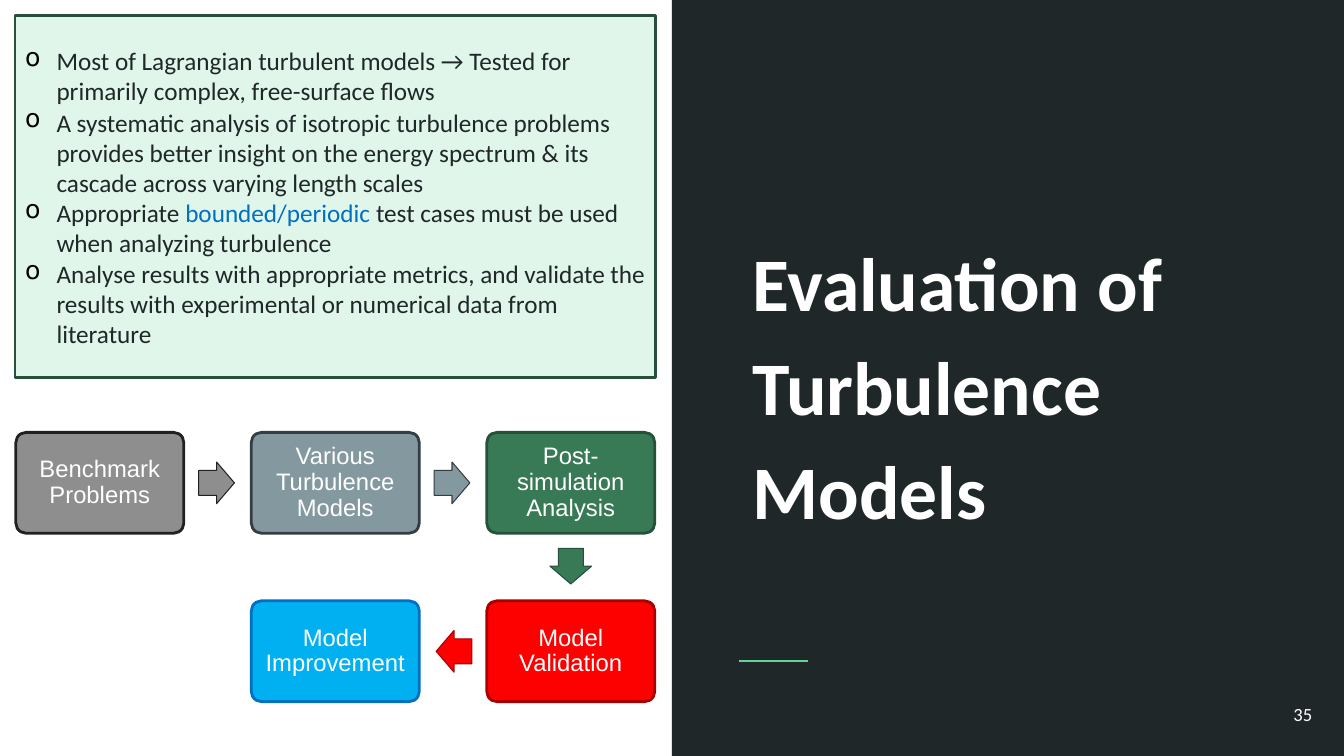
from lxml import etree
from pptx import Presentation
from pptx.dml.color import RGBColor
from pptx.enum.shapes import MSO_CONNECTOR, MSO_SHAPE
from pptx.enum.text import MSO_ANCHOR, PP_ALIGN
from pptx.oxml.ns import qn
from pptx.util import Pt

RECT, ROUNDED, ARROW = MSO_SHAPE.RECTANGLE, MSO_SHAPE.ROUNDED_RECTANGLE, MSO_SHAPE.RIGHT_ARROW
STRAIGHT = MSO_CONNECTOR.STRAIGHT
MIDDLE = MSO_ANCHOR.MIDDLE
LEFT, CENTER, RIGHT = PP_ALIGN.LEFT, PP_ALIGN.CENTER, PP_ALIGN.RIGHT
DARK, WHITE, BLUE = "202729", "FFFFFF", "0070C0"


def color(value):
    return RGBColor.from_string(value)


def add_block(kind, left, top, width, height, fill, outline=None, weight=2):
    """Add a filled preset shape, measured in points, with an optional outline."""
    block = slide.shapes.add_shape(kind, Pt(left), Pt(top), Pt(width), Pt(height))
    block.shadow.inherit = False
    block.fill.solid()
    block.fill.fore_color.rgb = color(fill)
    if outline:
        block.line.color.rgb = color(outline)
        block.line.width = Pt(weight)
    else:
        block.line.fill.background()
    return block


prs = Presentation()
prs.slide_width, prs.slide_height = Pt(960), Pt(540)
slide = prs.slides.add_slide(prs.slide_layouts[6])

# Dark half with title, accent rule and page number
add_block(RECT, 480, 0, 480, 540, DARK)
accent = slide.shapes.add_connector(STRAIGHT, Pt(528), Pt(472), Pt(577.5), Pt(472))
accent.line.color.rgb = color("63D297")
accent.line.width = Pt(1.5)
etree.SubElement(accent._element.spPr, qn("a:effectLst"))

captions = [
    ("Evaluation of Turbulence Models", 518.4, 76.3, 402.5, 388, 7.2, 54, True, LEFT),
    ("35", 889.2, 489.6, 57.6, 41, 9.4, 13.3, False, RIGHT),
]
for wording, left, top, width, height, inset, size, bold, align in captions:
    frame = slide.shapes.add_textbox(Pt(left), Pt(top), Pt(width), Pt(height)).text_frame
    frame.word_wrap = True
    frame.vertical_anchor = MIDDLE
    frame.margin_left = frame.margin_right = frame.margin_top = frame.margin_bottom = Pt(inset)
    caption = frame.paragraphs[0]
    caption.text = wording
    caption.alignment = align
    if align == LEFT:
        caption.line_spacing = 1.15
        caption._p.get_or_add_pPr().set("marL", str(Pt(12)))
    font = caption.runs[0].font
    font.name, font.size, font.bold = "Calibri", Pt(size), bold
    font.color.rgb = color(WHITE)

# Findings, each a list of (wording, colour) runs
findings = [
    [("Most of Lagrangian turbulent models → Tested for primarily complex, free-surface flows", DARK)],
    [("A systematic analysis of isotropic turbulence problems provides better insight on "
      "the energy spectrum & its cascade across varying length scales", DARK)],
    [("Appropriate ", DARK), ("bounded/periodic ", BLUE),
     ("test cases must be used when analyzing turbulence", DARK)],
    [("Analyse results with appropriate metrics, and validate the results with "
      "experimental or numerical data from literature", DARK)],
]
panel = add_block(RECT, 10.8, 11.3, 457.4, 258.6, "E0F6EA", "26503A").text_frame
panel.word_wrap = True
panel.vertical_anchor = MIDDLE
for index, parts in enumerate(findings):
    finding = panel.add_paragraph() if index else panel.paragraphs[0]
    finding.alignment = LEFT
    properties = finding._p.get_or_add_pPr()
    properties.set("marL", str(Pt(22.5)))
    properties.set("indent", str(-Pt(22.5)))
    bullet_color = etree.SubElement(properties, qn("a:buClr"))
    etree.SubElement(bullet_color, qn("a:srgbClr"), val="000000")
    etree.SubElement(properties, qn("a:buChar"), char="o")
    if index == 0:
        finding.space_after = Pt(1)
    for wording, tint in parts:
        run = finding.add_run()
        run.text = wording
        run.font.name, run.font.size = "Calibri", Pt(18)
        run.font.color.rgb = color(tint)

# Workflow: wording, column, row, fill, outline, turn of the arrow to the next step
steps = [
    ("Benchmark Problems", 0, 0, "8E8E8E", "212121", 0),
    ("Various Turbulence Models", 1, 0, "84999F", "333E42", 0),
    ("Post-simulation Analysis", 2, 0, "387956", "26503A", 90),
    ("Model Validation", 2, 1, "FD0000", "A80000", 180),
    ("Model Improvement", 1, 1, "00B0F0", BLUE, None),
]
STEP_W, STEP_H, COLUMN, ROW = 120, 72, 168.2, 120.3
ARROW_W, ARROW_H = 25.5, 29.8
# Arrow centre relative to the step centre, by turn
arrow_offsets = {0: (83.4, 0), 90: (0, 59.5), 180: (-83.4, 0)}
for wording, column, row, fill, outline, turn in steps:
    left, top = 11.3 + column * COLUMN, 308.9 + row * ROW
    step = add_block(ROUNDED, left, top, STEP_W, STEP_H, fill, outline)
    step.adjustments[0] = 0.1
    frame = step.text_frame
    frame.word_wrap = True
    frame.vertical_anchor = MIDDLE
    frame.margin_left = frame.margin_right = frame.margin_top = frame.margin_bottom = Pt(5)
    label = frame.paragraphs[0]
    label.text = wording
    label.alignment = CENTER
    label.line_spacing = 0.9
    font = label.runs[0].font
    font.name, font.size = "Arial", Pt(17)
    font.color.rgb = color(WHITE)
    if turn is not None:
        shift_x, shift_y = arrow_offsets[turn]
        arrow = add_block(ARROW, left + (STEP_W - ARROW_W) / 2 + shift_x,
                          top + (STEP_H - ARROW_H) / 2 + shift_y,
                          ARROW_W, ARROW_H, fill, outline, 0.75)
        arrow.adjustments[0] = 0.6
        arrow.adjustments[1] = 0.5
        arrow.rotation = turn

prs.save("out.pptx")
